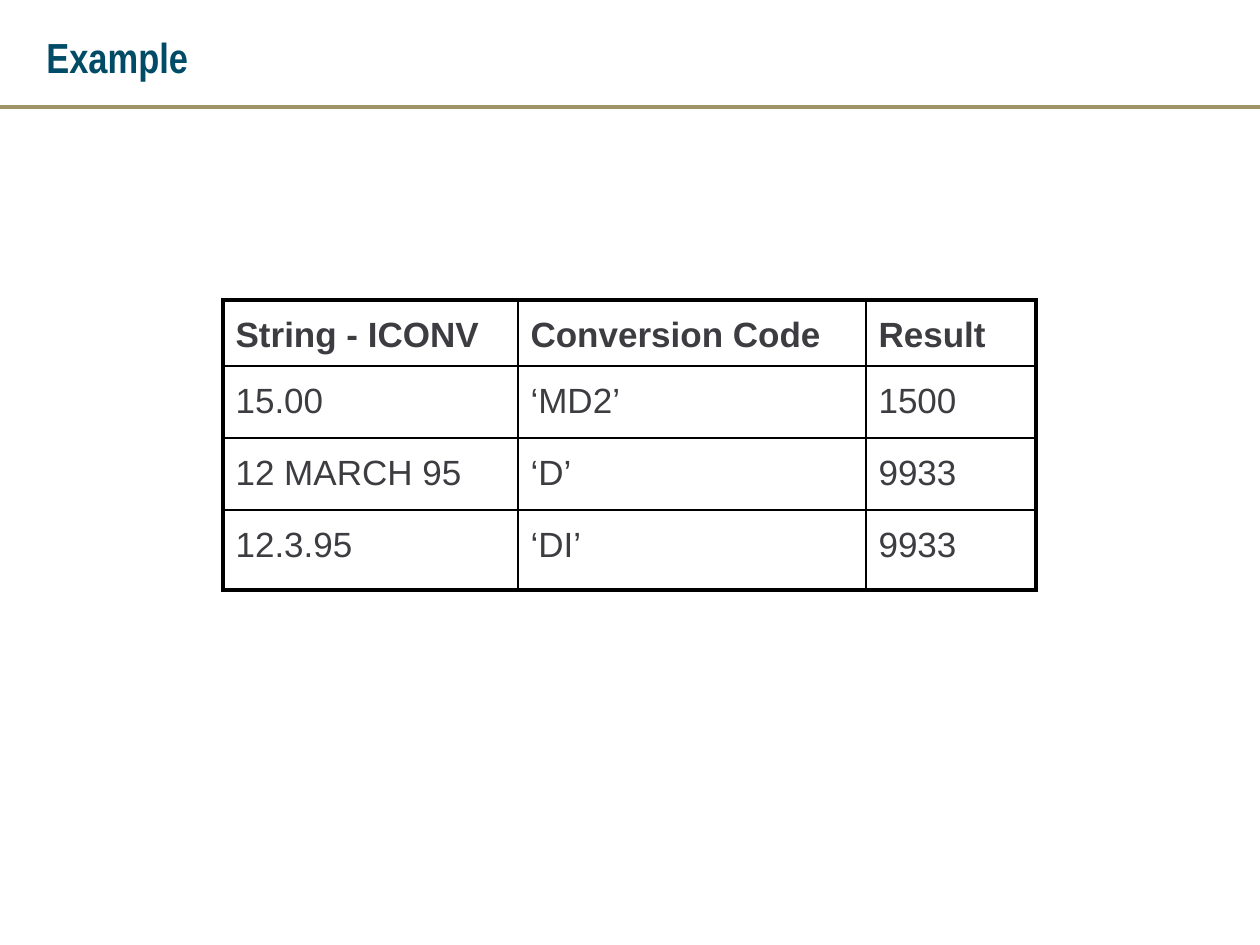
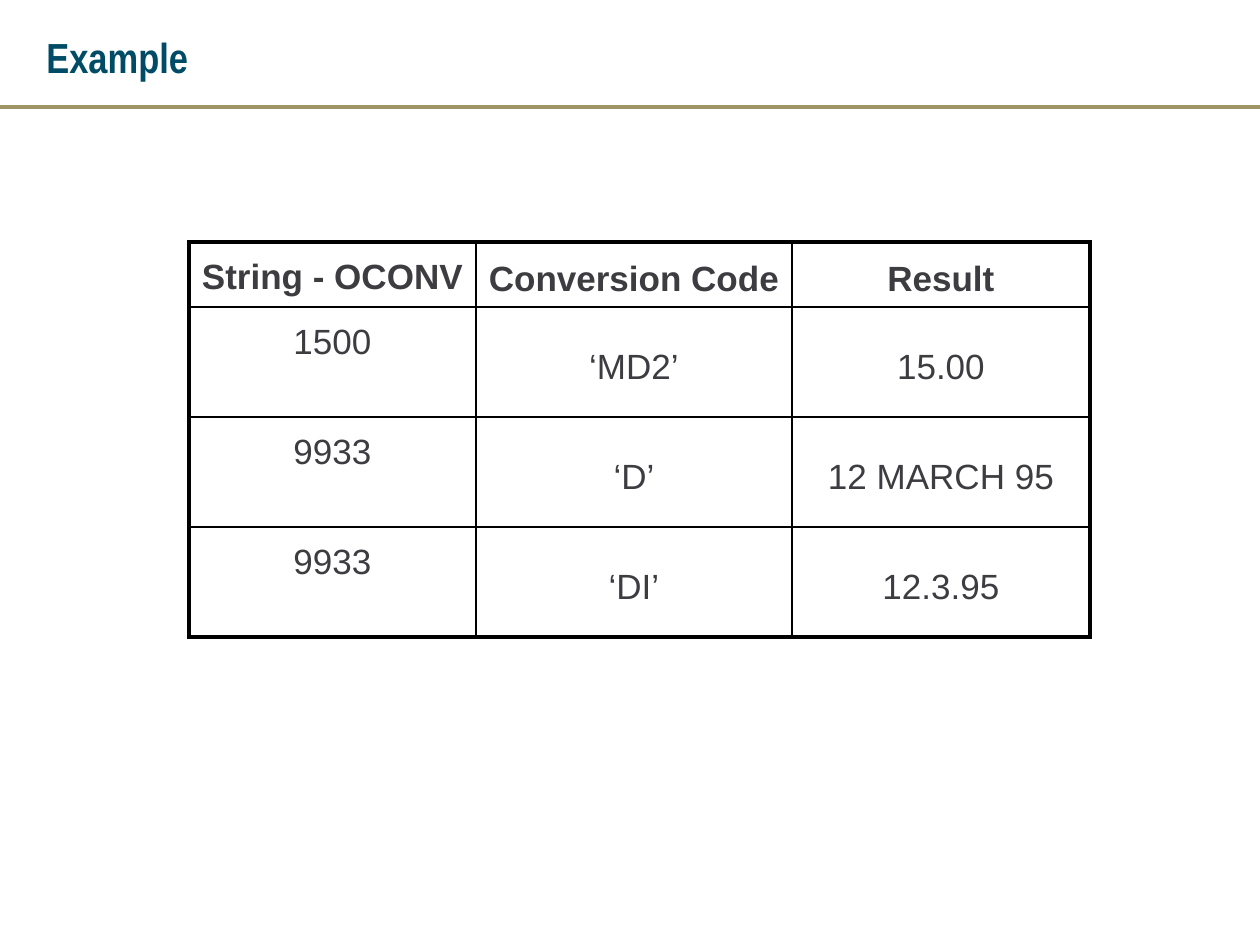
from lxml.etree import SubElement as Sub
from pptx import Presentation
from pptx.dml.color import RGBColor
from pptx.enum.shapes import MSO_CONNECTOR as Link
from pptx.enum.text import MSO_ANCHOR as Anchor, PP_ALIGN as Align
from pptx.oxml.ns import qn
from pptx.util import Pt

SCALE = 7257.14  # EMU per px, 126 px to the inch
WIDE, HIGH = 1260, 945

# Shared style
TEAL, GOLD, GREY, BLACK = "004B66", "9F9466", "3C3C41", "000000"
TITLE = {"name": "Arial Narrow", "size": Pt(24), "bold": True}
BODY = {"name": "Arial", "size": Pt(20), "bold": False}
HEAD = BODY | {"bold": True}
THIN, THICK = Pt(1), Pt(2.25)


def px(n):
    return round(n * SCALE)


def rgb(code):
    return RGBColor.from_string(code)


class Deck:
    def __init__(self):
        self.prs = Presentation()
        self.prs.slide_width, self.prs.slide_height = px(WIDE), px(HIGH)
        self.slide = None

    def page(self, title):
        self.slide = self.prs.slides.add_slide(self.prs.slide_layouts[6])
        self.rule(107)
        self.title(title)

    def rule(self, y):
        line = self.slide.shapes.add_connector(
            Link.STRAIGHT, 0, px(y), px(WIDE), px(y))
        line.line.color.rgb = rgb(GOLD)
        line.line.width = Pt(2)
        Sub(line.element.spPr, qn("a:effectLst"))

    def title(self, text):
        box = self.slide.shapes.add_textbox(px(34), px(19), px(1201), px(76))
        frame = box.text_frame
        frame.word_wrap = True
        frame.vertical_anchor = Anchor.MIDDLE
        self.label(frame, text, TITLE, TEAL)

    def label(self, frame, text, style, color):
        par = frame.paragraphs[0]
        run = par.add_run()
        run.text = text
        for key, val in style.items():
            setattr(run.font, key, val)
        run.font.color.rgb = rgb(color)
        return par

    def edges(self, cell, outer):
        props = cell._tc.get_or_add_tcPr()
        for side in "LRTB":
            width = THICK if side in outer else THIN
            line = Sub(props, qn("a:ln" + side), w=str(int(width)))
            fill = Sub(line, qn("a:solidFill"))
            Sub(fill, qn("a:srgbClr"), val=BLACK)

    def table(self, x, y, cols, rows, data, align, anchors):
        grid = self.slide.shapes.add_table(
            len(rows), len(cols), px(x), px(y),
            px(sum(cols)), px(sum(rows))).table
        grid.first_row = grid.horz_banding = False
        for col, width in zip(grid.columns, cols):
            col.width = px(width)
        for row, height in zip(grid.rows, rows):
            row.height = px(height)
        for r, line in enumerate(data):
            for c, text in enumerate(line):
                cell = grid.cell(r, c)
                # The outer frame is thick, the inner lines are thin
                ends = {"L": c == 0, "R": c == len(cols) - 1,
                        "T": r == 0, "B": r == len(rows) - 1}
                self.edges(cell, [side for side in ends if ends[side]])
                cell.fill.background()
                cell.vertical_anchor = anchors[c]
                style = BODY if r else HEAD
                par = self.label(cell.text_frame, text, style, GREY)
                par.alignment = align
                par.line_spacing = 1.25


def main():
    deck = Deck()

    # Input conversion
    deck.page("Example")
    deck.table(223, 300, [295, 348, 170], [66, 72, 72, 80], [
        ["String - ICONV", "Conversion Code", "Result"],
        ["15.00", "‘MD2’", "1500"],
        ["12 MARCH 95", "‘D’", "9933"],
        ["12.3.95", "‘DI’", "9933"],
    ], Align.LEFT, [Anchor.TOP] * 3)

    # Output conversion
    deck.page("Example")
    deck.table(189, 242, [287, 316, 298], [61] + [110] * 3, [
        ["String - OCONV", "Conversion Code", "Result"],
        ["1500", "‘MD2’", "15.00"],
        ["9933", "‘D’", "12 MARCH 95"],
        ["9933", "‘DI’", "12.3.95"],
    ], Align.CENTER, [Anchor.TOP, Anchor.MIDDLE, Anchor.MIDDLE])

    deck.prs.save("out.pptx")


if __name__ == "__main__":
    main()
